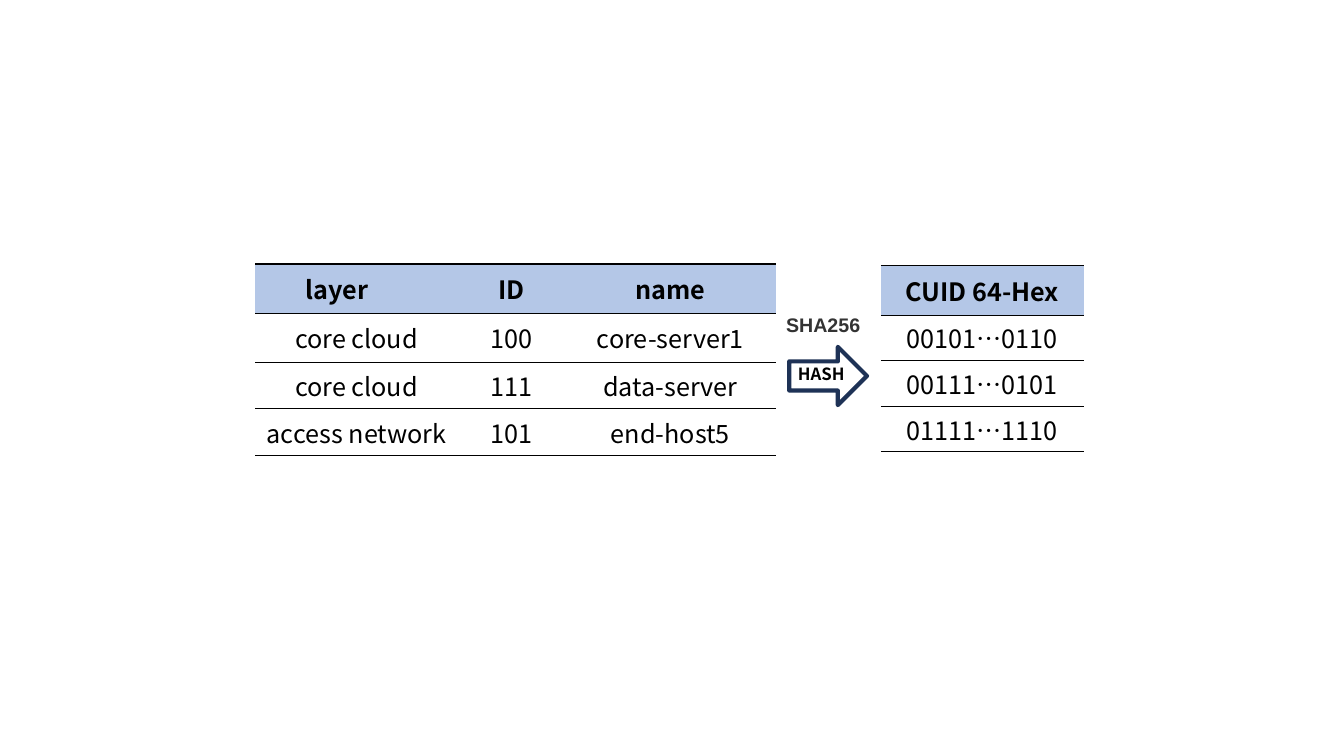
from dataclasses import dataclass

from lxml import etree
from pptx import Presentation
from pptx.dml.color import RGBColor
from pptx.enum.shapes import MSO_SHAPE
from pptx.enum.text import MSO_ANCHOR, PP_ALIGN
from pptx.oxml.ns import qn
from pptx.util import Cm, Pt

CENTER = PP_ALIGN.CENTER
MIDDLE = MSO_ANCHOR.MIDDLE
RIGHT_ARROW = MSO_SHAPE.RIGHT_ARROW
BLANK_LAYOUT = 6


@dataclass(frozen=True)
class Theme:
    ink: str = "000000"
    label: str = "333333"
    navy: str = "1E3256"
    header: str = "B4C7E7"
    paper: str = "FFFFFF"
    body_font: str = "Noto Sans CJK SC"
    label_font: str = "Arial"
    cell_size: int = 18
    label_size: int = 14
    arrow_size: int = 12
    rule: int = 1
    outline: int = 3


class SlideBuilder:
    def __init__(self, prs, theme):
        self.theme = theme
        self.s = prs.slides.add_slide(prs.slide_layouts[BLANK_LAYOUT])

    def format_runs(self, p, size, color, font, bold):
        for r in p.runs:
            r.font.size = Pt(size)
            r.font.bold = bold
            r.font.name = font
            r.font.color.rgb = RGBColor.from_string(color)
            ea = etree.SubElement(r.font._element, qn("a:ea"))
            ea.set("typeface", font)

    def rule_cell(self, cell):
        tc_pr = cell._tc.get_or_add_tcPr()
        for side in ("L", "R", "T", "B"):
            ln = etree.SubElement(tc_pr, qn(f"a:ln{side}"))
            if side in "LR":
                etree.SubElement(ln, qn("a:noFill"))
                continue
            ln.set("w", str(Pt(self.theme.rule)))
            fill = etree.SubElement(ln, qn("a:solidFill"))
            etree.SubElement(fill, qn("a:srgbClr")).set("val", self.theme.ink)

    def table(self, left, top, widths, heights, rows):
        t = self.theme
        table = self.s.shapes.add_table(
            len(rows), len(widths), Cm(left), Cm(top),
            Cm(sum(widths)), Cm(sum(heights))).table
        table.horz_banding = False
        for column, width in zip(table.columns, widths):
            column.width = Cm(width)
        for i, (row, height, values) in enumerate(zip(table.rows, heights, rows)):
            row.height = Cm(height)
            is_header = i == 0
            for cell, value in zip(row.cells, values):
                self.rule_cell(cell)
                cell.fill.solid()
                cell.fill.fore_color.rgb = RGBColor.from_string(
                    t.header if is_header else t.paper)
                cell.vertical_anchor = MIDDLE
                cell.margin_left = cell.margin_right = Cm(0.2)
                cell.margin_top = cell.margin_bottom = Cm(0.1)
                p = cell.text_frame.paragraphs[0]
                p.text = value
                p.alignment = CENTER
                self.format_runs(p, t.cell_size, t.ink, t.body_font, is_header)
        return table

    def arrow(self, left, top, width, height):
        sp = self.s.shapes.add_shape(
            RIGHT_ARROW, Cm(left), Cm(top), Cm(width), Cm(height))
        sp.shadow.inherit = False
        sp.fill.background()
        sp.line.color.rgb = RGBColor.from_string(self.theme.navy)
        sp.line.width = Pt(self.theme.outline)

    def text(self, left, top, width, height, text, size, color, font):
        sp = self.s.shapes.add_textbox(Cm(left), Cm(top), Cm(width), Cm(height))
        tf = sp.text_frame
        tf.word_wrap = True
        tf.text = text
        self.format_runs(tf.paragraphs[0], size, color, font, True)


theme = Theme()
prs = Presentation()
prs.slide_width, prs.slide_height = Cm(33.87), Cm(19.05)
slide = SlideBuilder(prs, theme)

nodes = slide.table(6.43, 6.65, [5.11, 2.69, 5.33], [1.24, 1.24, 1.17, 1.17], [
    ["layer", "ID", "name"],
    ["core cloud", "100", "core-server1"],
    ["core cloud", "111", "data-server"],
    ["access network", "101", "end-host5"],
])
nodes.cell(0, 0).margin_right = Cm(1.2)

slide.arrow(19.89, 8.74, 1.96, 1.47)
slide.text(19.86, 9.04, 2.77, 0.76, "HASH",
           theme.arrow_size, theme.ink, theme.body_font)
slide.table(22.2, 6.7, [5.11], [1.24] + [1.15] * 3, [
    ["CUID 64-Hex"], ["00101…0110"], ["00111…0101"], ["01111…1110"],
])
slide.text(19.56, 7.75, 2.49, 0.86, "SHA256",
           theme.label_size, theme.label, theme.label_font)

prs.save("out.pptx")
